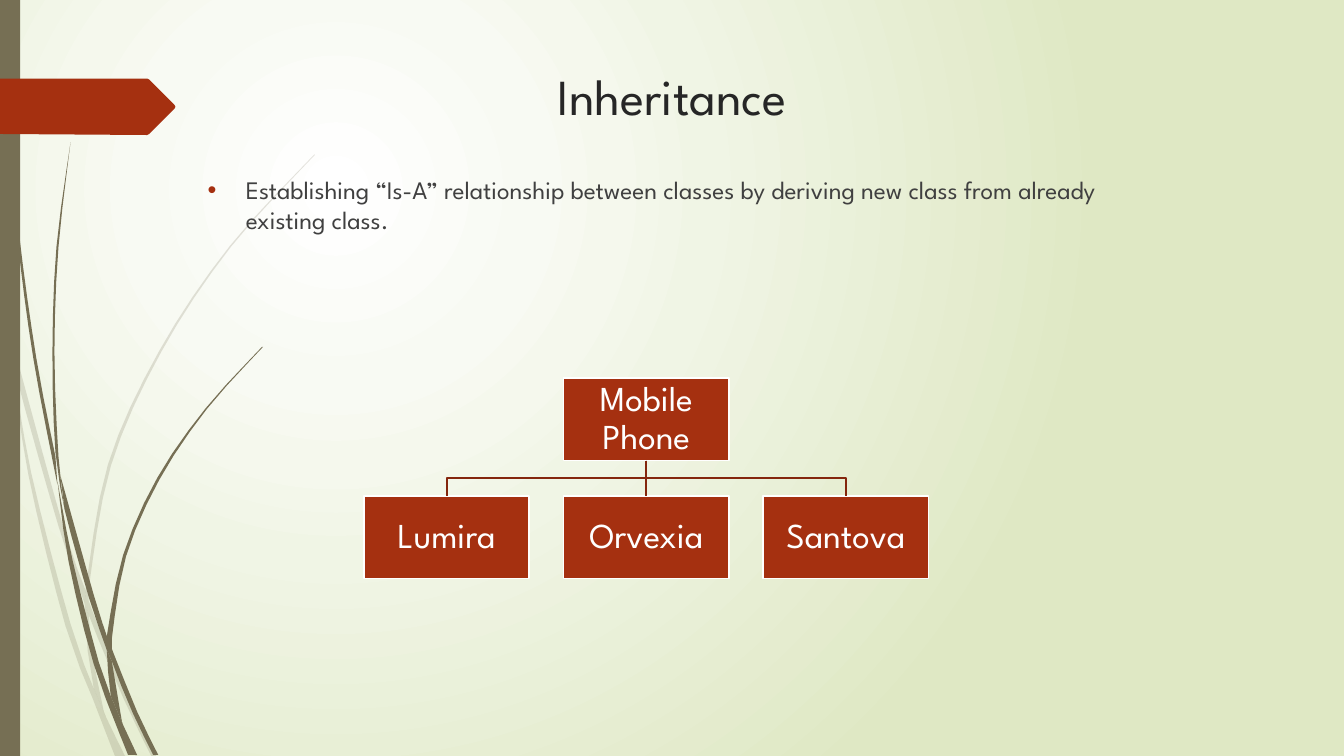
import math
from dataclasses import dataclass

import pptx
import pptx.dml.color
import pptx.enum.shapes
import pptx.enum.text
import pptx.oxml
import pptx.oxml.ns
import pptx.util
from pptx.util import Inches

Point = tuple[float, float]

FONT = "League Spartan"
RUST, DARK_RUST, OLIVE, WHITE = "A53010", "84260D", "766F54", "FFFFFF"
BACKDROP_STOPS = ((0, WHITE), (26, "F8FAF3"), (36, "F5F8ED"), (48, "F0F5E5"), (100, "DFE8C4"))
NODE_W, NODE_H, NODE_STEP = 1.64, 0.82, 1.98
PARENT_LEFT, PARENT_TOP, CHILD_TOP = 5.59, 3.75, 4.92
CURVE_STEP = 0.4


@dataclass(frozen=True)
class Blade:
    out: tuple[Point, ...]
    back: tuple[Point, ...]


@dataclass(frozen=True)
class Node:
    label: str
    left: float
    top: float


PALE_GRASS = (
    Blade(((0.11, 3.5), (0.09, 3.22), (0, 2.82)), ((0, 2.99), (0.1, 3.44))),
    Blade(((0.14, 3.45), (0.17, 3.76), (0.58, 5.22), (0.84, 5.99)),
          ((0.85, 5.86), (0.62, 5.2), (0.14, 3.45))),
    Blade(((0.88, 5.96), (0.88, 6.1), (1.23, 6.94), (1.5, 7.5)),
          ((1.55, 7.5), (1.27, 6.92), (0.92, 6.07), (0.88, 5.96))),
    Blade(((0.11, 3.5), (0.28, 4.7), (0.65, 6.21), (0.92, 6.93), (1.14, 7.5)),
          ((1.24, 7.5), (1.05, 7.11), (0.93, 6.83), (0.7, 6.19), (0.31, 4.69), (0.11, 3.5))),
    Blade(((0.84, 5.99), (0.87, 6.46), (0.93, 6.83), (1.05, 7.11)),
          ((1.03, 7.06), (0.91, 6.46), (0.88, 6.1))),
    Blade(((0.88, 6.1), (0.88, 5.84), (1.1, 4.62), (1.6, 3.49), (2.29, 2.45), (3.12, 1.54)),
          ((3.12, 1.53), (2.28, 2.44), (1.58, 3.48), (1.07, 4.61), (0.85, 5.84), (0.84, 5.99))),
)

DARK_GRASS = (
    Blade(((0.03, 0), (0.07, 1.1), (0.17, 2.33), (0.33, 3.55), (0.57, 4.81)),
          ((0.55, 4.53), (0.36, 3.55), (0.19, 2.32), (0.08, 1.09), (0.04, 0))),
    Blade(((0.6, 4.72), (0.64, 5.05), (0.88, 5.92), (1.06, 6.45)),
          ((1.06, 6.31), (0.93, 5.9), (0.6, 4.72))),
    Blade(((1.1, 6.41), (1.11, 6.56), (1.32, 7.08), (1.52, 7.49)),
          ((1.57, 7.49), (1.36, 7.06), (1.13, 6.49))),
    Blade(((0.57, 4.77), (0.68, 5.57), (0.93, 6.59), (1.27, 7.49)),
          ((1.36, 7.49), (1.22, 7.19), (1.1, 6.91), (0.98, 6.57), (0.72, 5.56), (0.57, 4.77))),
    Blade(((0.64, 5.05), (0.58, 4.53), (0.54, 3.49), (0.58, 2.45), (0.7, 1.41)),
          ((0.7, 1.41), (0.56, 2.45), (0.52, 3.49), (0.55, 4.49), (0.64, 5.05))),
    Blade(((1.11, 6.56), (1.11, 6.33), (1.25, 5.52), (1.58, 4.76), (2.05, 4.06), (2.61, 3.44)),
          ((2.6, 3.44), (2.04, 4.05), (1.56, 4.74), (1.22, 5.51), (1.06, 6.31), (1.06, 6.45))),
    Blade(((1.06, 6.45), (1.1, 6.91), (1.22, 7.19)), ((1.21, 7.16), (1.11, 6.56))),
)

TAG_OUTLINE = ((0, 0.78), (1.46, 0.78), (1.48, 0.79), (1.73, 1.04), (1.74, 1.06),
               (1.73, 1.08), (1.48, 1.33), (1.46, 1.34), (0, 1.33))
PARENT = Node("Mobile Phone", PARENT_LEFT, PARENT_TOP)
CHILDREN = tuple(Node(label, PARENT_LEFT + (i - 1) * NODE_STEP, CHILD_TOP)
                 for i, label in enumerate(("Lumira", "Orvexia", "Santova")))


def color(value: str) -> pptx.dml.color.RGBColor:
    return pptx.dml.color.RGBColor.from_string(value)


def add_xml(parent, xml: str, index: int) -> None:
    root, rest = xml.split(" ", 1)
    parent.insert(index, pptx.oxml.parse_xml(f"{root} {pptx.oxml.ns.nsdecls('a', 'p')} {rest}"))


def paint_backdrop(slide) -> None:
    stops = "".join(f'<a:gs pos="{pos * 1000}"><a:srgbClr val="{value}"/></a:gs>'
                    for pos, value in BACKDROP_STOPS)
    add_xml(slide.element.find(pptx.oxml.ns.qn("p:cSld")),
            f'<p:bg ><p:bgPr><a:gradFill rotWithShape="1"><a:gsLst>{stops}</a:gsLst>'
            '<a:path path="circle"><a:fillToRect l="50000" t="50000" r="100000" b="100000"/>'
            '</a:path></a:gradFill><a:effectLst/></p:bgPr></p:bg>', 0)


def smooth_edge(anchors: tuple[Point, ...]) -> list[Point]:
    padded = (anchors[0], *anchors, anchors[-1])
    curve = [anchors[0]]
    for a, b, c, d in zip(padded, padded[1:], padded[2:], padded[3:]):
        steps = math.ceil(math.dist(b, c) / CURVE_STEP)
        for step in range(1, steps + 1):
            t = step / steps
            x, y = (q + t * (r - p) / 2 + t**2 * (p - 2.5 * q + 2 * r - s / 2)
                    + t**3 * (3 * q - p - 3 * r + s) / 2
                    for p, q, r, s in zip(a, b, c, d))
            curve.append((x, y))
    return curve


def draw_outline(slide, points, closed: bool = True):
    corners = [(Inches(x), Inches(y)) for x, y in points]
    builder = slide.shapes.build_freeform(*corners[0])
    builder.add_line_segments(corners[1:], close=closed)
    outline = builder.convert_to_shape()
    outline.shadow.inherit = False
    return outline


def fill_plain(shape, value: str) -> None:
    shape.shadow.inherit = False
    shape.fill.solid()
    shape.fill.fore_color.rgb = color(value)
    shape.line.fill.background()


def draw_blade(slide, blade: Blade, opacity: int) -> None:
    outline = draw_outline(slide, smooth_edge(blade.out) + smooth_edge(blade.back))
    fill_plain(outline, OLIVE)
    if opacity < 100:
        tint = next(outline.element.iter(pptx.oxml.ns.qn("a:srgbClr")))
        add_xml(tint, f'<a:alpha val="{opacity * 1000}"/>', 0)


def write_text(shape, text: str, size: float, value: str, centered: bool = True):
    frame = shape.text_frame
    frame.word_wrap = True
    frame.text = text
    paragraph = frame.paragraphs[0]
    align = pptx.enum.text.PP_ALIGN
    paragraph.alignment = align.CENTER if centered else align.LEFT
    font = paragraph.runs[0].font
    font.name, font.size, font.color.rgb = FONT, pptx.util.Pt(size), color(value)
    return paragraph


def style_line(shape, value: str) -> None:
    shape.line.color.rgb = color(value)
    shape.line.width = pptx.util.Pt(1.25)


def draw_node(slide, node: Node):
    box = slide.shapes.add_shape(pptx.enum.shapes.MSO_SHAPE.RECTANGLE, Inches(node.left),
                                 Inches(node.top), Inches(NODE_W), Inches(NODE_H))
    fill_plain(box, RUST)
    style_line(box, WHITE)
    frame = box.text_frame
    frame.margin_left = frame.margin_right = frame.margin_top = frame.margin_bottom = Inches(0.02)
    frame.vertical_anchor = pptx.enum.text.MSO_ANCHOR.MIDDLE
    write_text(box, node.label, 25, WHITE).line_spacing = 0.9
    return box


def draw_branch(slide, parent: Node, child: Node, parent_box, child_box) -> None:
    start_x, end_x = parent.left + NODE_W / 2, child.left + NODE_W / 2
    start_y, end_y = parent.top + NODE_H, child.top
    if parent.left == child.left:
        branch = slide.shapes.add_connector(pptx.enum.shapes.MSO_CONNECTOR.STRAIGHT, Inches(start_x),
                                            Inches(start_y), Inches(end_x), Inches(end_y))
        branch.begin_connect(parent_box, 2)
        branch.end_connect(child_box, 0)
        style_line(branch, DARK_RUST)
        properties = branch.element.spPr
        add_xml(properties, "<a:effectLst />", len(properties))
    else:
        middle = (start_y + end_y) / 2
        branch = draw_outline(slide, ((start_x, start_y), (start_x, middle),
                                      (end_x, middle), (end_x, end_y)), closed=False)
        branch.fill.background()
        style_line(branch, DARK_RUST)


def main() -> None:
    deck = pptx.Presentation()
    deck.slide_width, deck.slide_height = Inches(13.33), Inches(7.5)
    slide = deck.slides.add_slide(deck.slide_layouts[6])
    paint_backdrop(slide)
    for grass, opacity in ((PALE_GRASS, 20), (DARK_GRASS, 100)):
        for blade in grass:
            draw_blade(slide, blade, opacity)
    side_bar = slide.shapes.add_shape(pptx.enum.shapes.MSO_SHAPE.RECTANGLE, 0, 0,
                                      Inches(0.2), Inches(7.5))
    fill_plain(side_bar, OLIVE)
    fill_plain(draw_outline(slide, TAG_OUTLINE), RUST)

    title = slide.shapes.add_textbox(Inches(1.79), Inches(0.6), Inches(9.75), Inches(1.4))
    write_text(title, "Inheritance", 36, "262626")
    definition = slide.shapes.add_textbox(Inches(1.96), Inches(1.68), Inches(9.75), Inches(4.13))
    bullet = write_text(definition, "Establishing “Is-A” relationship between classes by deriving "
                        "new class from already existing class.", 18, "404040", centered=False)
    bullet.space_before = pptx.util.Pt(10)
    properties = bullet._p.get_or_add_pPr()
    properties.set("marL", str(Inches(0.38)))
    properties.set("indent", str(-Inches(0.38)))
    for mark in (f'<a:buClr ><a:srgbClr val="{RUST}"/></a:buClr>',
                 '<a:buFont typeface="Arial"/>', '<a:buChar char="•"/>'):
        add_xml(properties, mark, len(properties))

    parent_box = draw_node(slide, PARENT)
    for child in CHILDREN:
        draw_branch(slide, PARENT, child, parent_box, draw_node(slide, child))
    deck.save("out.pptx")


if __name__ == "__main__":
    main()
